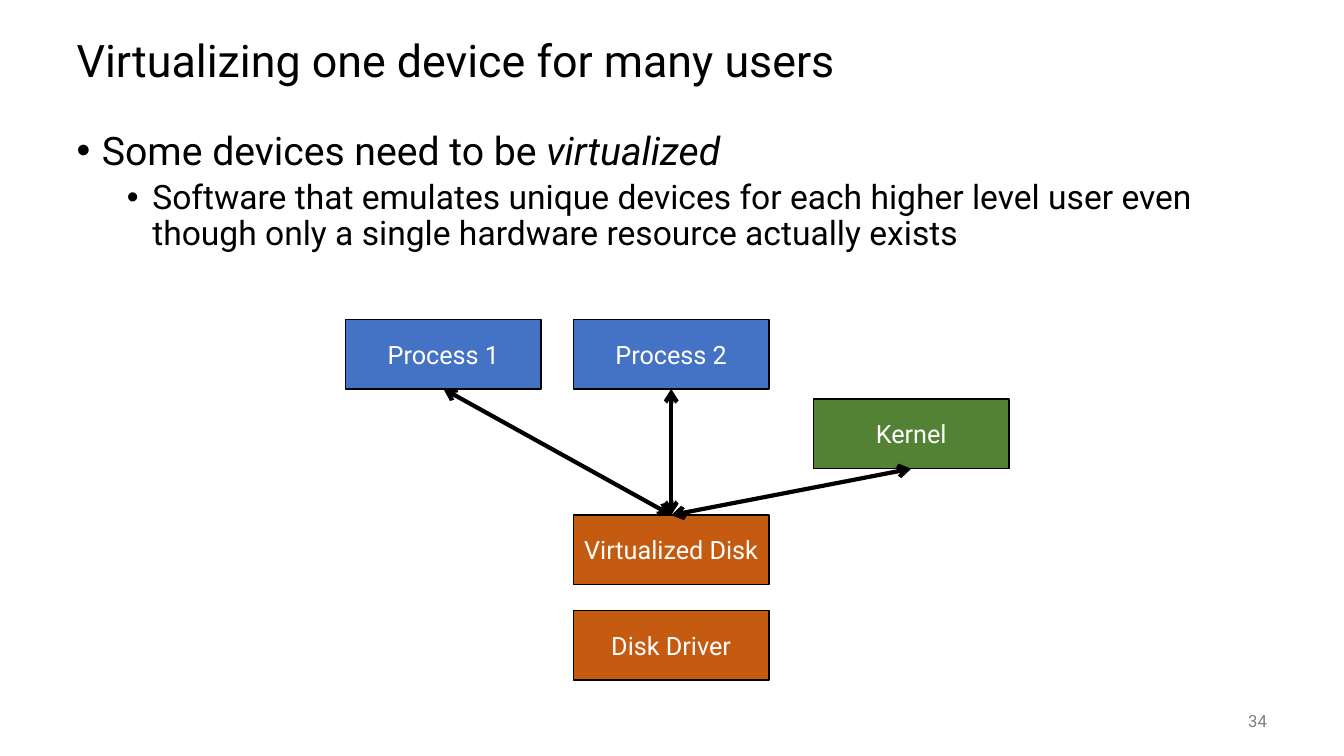
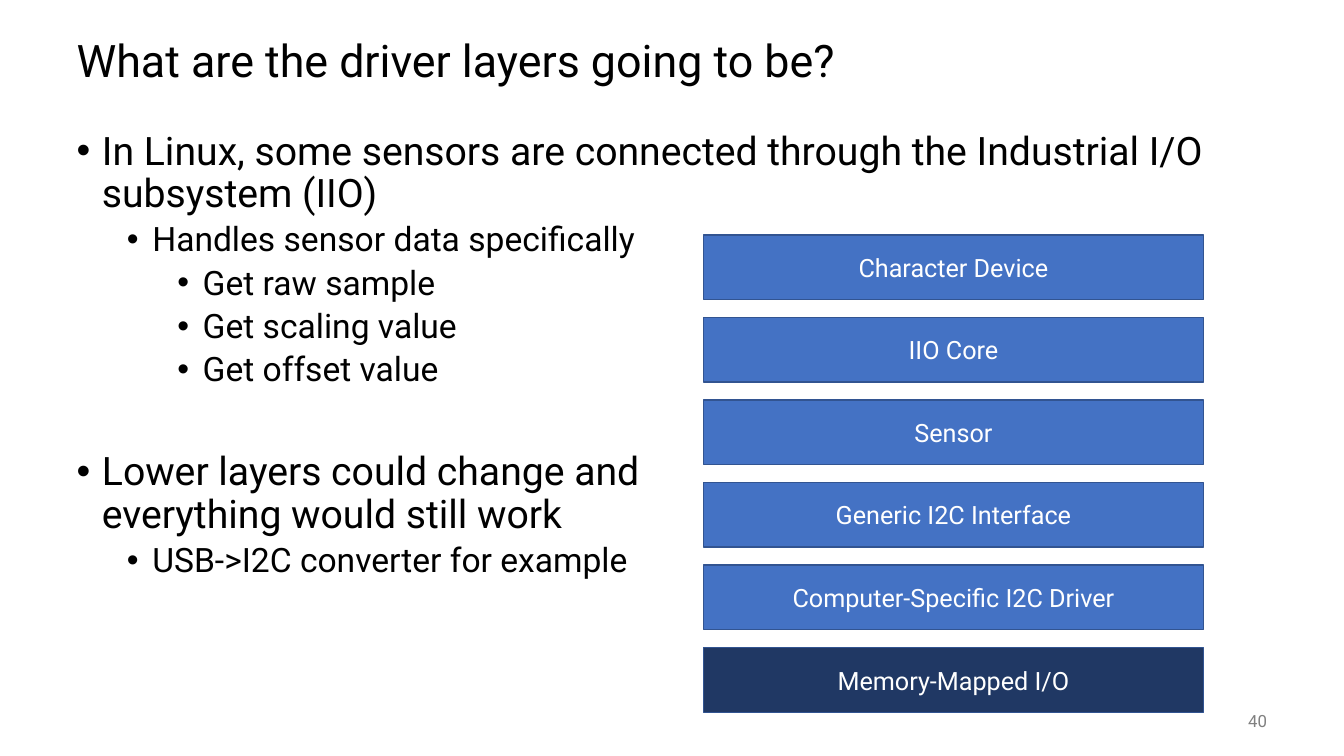
from lxml import etree
from pptx import Presentation
from pptx.dml.color import RGBColor
from pptx.enum import shapes, text
from pptx.oxml.ns import qn
from pptx.util import Cm, Pt

FONT = "Roboto"
BLACK, WHITE, GREY = "000000", "FFFFFF", "808080"
BLUE, GREEN, ORANGE, NAVY, EDGE = "4472C4", "548235", "C55A11", "203864", "325491"
LEFT, MID, RIGHT = text.PP_ALIGN.LEFT, text.PP_ALIGN.CENTER, text.PP_ALIGN.RIGHT

# Areas are left, top, width, height in cm.
TITLE = (1.68, 0.64, 30.48, 1.9)
BODY = (1.68, 3.18, 30.48, 13.97)
NUMBER = (29.64, 17.65, 2.54, 1.02)
INDENT, STEP = 0.64, 1.27
SIZES, SPACES = (28, 24, 24), (14, 5, 5)
GAP = 45  # space before a bullet that opens a new block

# Bullets are level, text and, where it differs, the space before.
# Text between asterisks is italic; "\n" breaks the line.
USERS = {
    "title": "Virtualizing one device for many users",
    "number": "34",
    "bullets": [
        (0, "Some devices need to be *virtualized*"),
        (1, "Software that emulates unique devices for each higher level user "
            "even though only a single hardware resource actually exists"),
    ],
}
LAYERS = {
    "title": "What are the driver layers going to be?",
    "number": "40",
    "bullets": [
        (0, "In Linux, some sensors are connected through the Industrial I/O "
            "subsystem (IIO)"),
        (1, "Handles sensor data specifically"),
        (2, "Get raw sample"),
        (2, "Get scaling value"),
        (2, "Get offset value"),
        (0, "Lower layers could change and\neverything would still work", GAP),
        (1, "USB->I2C converter for example"),
    ],
}

NODE = (4.93, 1.75)
NODES = [
    ("Process 1", 8.71, 8.05, BLUE),
    ("Process 2", 14.45, 8.05, BLUE),
    ("Kernel", 20.5, 10.06, GREEN),
    ("Disk Driver", 14.45, 15.39, ORANGE),
    ("Virtualized Disk", 14.45, 12.98, ORANGE),
]
HUB, CLIENTS = "Virtualized Disk", ("Process 1", "Process 2", "Kernel")

STACK = [
    ("Character Device", BLUE),
    ("IIO Core", BLUE),
    ("Sensor", BLUE),
    ("Generic I2C Interface", BLUE),
    ("Computer-Specific I2C Driver", BLUE),
    ("Memory-Mapped I/O", NAVY),
]
STACK_X, STACK_Y, PITCH = 17.73, 5.92, 2.08
LAYER = (12.6, 1.63)


def rgb(code):
    return RGBColor.from_string(code)


def write(para, words, size=18, color=BLACK, align=LEFT, lead=1.0):
    """Fill a paragraph; *words* in asterisks turn italic."""
    para.alignment, para.line_spacing = align, lead
    for i, part in enumerate(words.split("*")):
        for j, line in enumerate(part.split("\n")):
            if j:
                para.add_line_break()
            if line:
                run = para.add_run()
                run.text = line
                font = run.font
                font.name, font.size, font.italic = FONT, Pt(size), i % 2 == 1
                font.color.rgb = rgb(color)


def add_area(slide, area, anchor=text.MSO_ANCHOR.MIDDLE):
    frame = slide.shapes.add_textbox(*map(Cm, area)).text_frame
    frame.word_wrap, frame.vertical_anchor = True, anchor
    return frame


def indent(para, level):
    props = para._p.get_or_add_pPr()
    props.set("marL", str(Cm(INDENT + level * STEP)))
    props.set("indent", str(-Cm(INDENT)))
    etree.SubElement(props, qn("a:buFont")).set("typeface", "Arial")
    etree.SubElement(props, qn("a:buChar")).set("char", "•")


def add_bullets(slide, items):
    frame = add_area(slide, BODY, text.MSO_ANCHOR.TOP)
    for i, (level, words, *space) in enumerate(items):
        para = frame.add_paragraph() if i else frame.paragraphs[0]
        para.level = level
        indent(para, level)
        if i:
            para.space_before = Pt(space[0] if space else SPACES[level])
        write(para, words, size=SIZES[level], lead=0.9)


def add_box(slide, words, area, fill, edge):
    box = slide.shapes.add_shape(shapes.MSO_SHAPE.RECTANGLE, *map(Cm, area))
    box.shadow.inherit = False
    box.fill.solid()
    box.fill.fore_color.rgb = rgb(fill)
    box.line.color.rgb, box.line.width = rgb(edge), Pt(1)
    frame = box.text_frame
    frame.margin_left = frame.margin_right = 0
    frame.vertical_anchor = text.MSO_ANCHOR.MIDDLE
    write(frame.paragraphs[0], words, color=WHITE, align=MID)
    return box


def link(slide, low, high):
    """Join the top of one box to the bottom of another, arrows at both ends."""
    line = slide.shapes.add_connector(shapes.MSO_CONNECTOR.STRAIGHT, 0, 0, 0, 0)
    line.begin_connect(low, 0)
    line.end_connect(high, 2)
    line.line.color.rgb, line.line.width = rgb(BLACK), Pt(3)
    stroke = line.line._get_or_add_ln()
    for end in ("a:headEnd", "a:tailEnd"):
        etree.SubElement(stroke, qn(end)).set("type", "arrow")
    etree.SubElement(line._element.spPr, qn("a:effectLst"))


def add_slide(deck, page):
    slide = deck.slides.add_slide(deck.slide_layouts[6])
    write(add_area(slide, TITLE).paragraphs[0], page["title"], size=32, lead=0.9)
    add_bullets(slide, page["bullets"])
    write(add_area(slide, NUMBER).paragraphs[0], page["number"],
          size=12, color=GREY, align=RIGHT)
    return slide


def main():
    deck = Presentation()
    deck.slide_width, deck.slide_height = Cm(33.87), Cm(19.05)

    slide = add_slide(deck, USERS)
    boxes = {name: add_box(slide, name, (x, y, *NODE), fill, BLACK)
             for name, x, y, fill in NODES}
    for name in CLIENTS:
        link(slide, boxes[HUB], boxes[name])

    slide = add_slide(deck, LAYERS)
    for i, (name, fill) in enumerate(STACK):
        add_box(slide, name, (STACK_X, STACK_Y + i * PITCH, *LAYER), fill, EDGE)

    deck.save("out.pptx")


if __name__ == "__main__":
    main()
